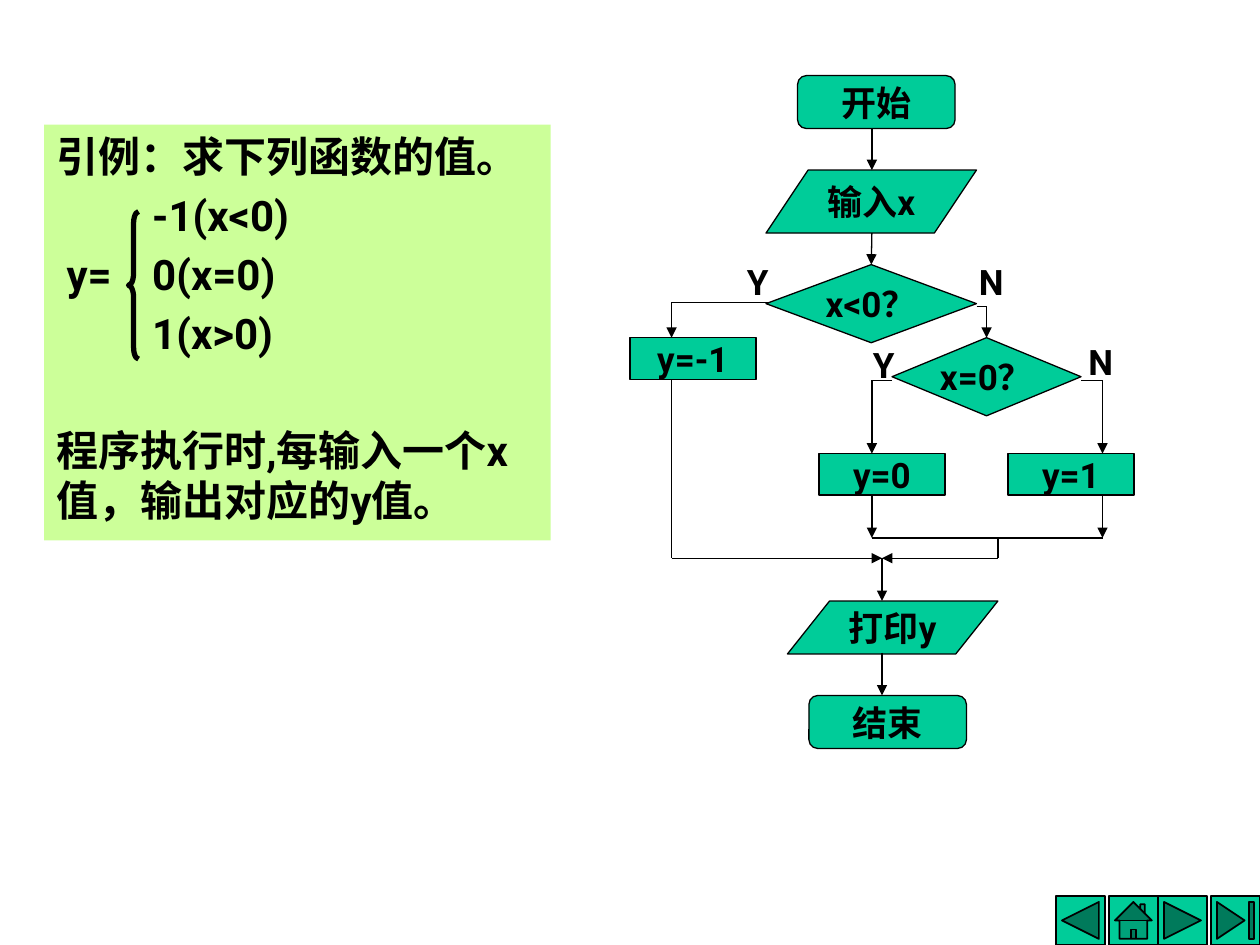
from dataclasses import dataclass

from pptx import Presentation
from pptx import util as u
from pptx.dml.color import RGBColor
from pptx.enum import shapes, text
from pptx.oxml.ns import qn
from lxml import etree

Kind = shapes.MSO_SHAPE


@dataclass(frozen=True)
class Theme:
    font: str = "Roboto"
    ink: RGBColor = RGBColor(0, 0, 0)
    node: RGBColor = RGBColor(0x00, 0xCC, 0x99)
    panel: RGBColor = RGBColor(0xCC, 0xFF, 0x99)
    body_size: int = 24
    node_size: int = 20
    line_width: float = 0.75
    button_line: float = 1
    brace_line: float = 3


class FlowSlide:
    def __init__(self, slide, theme):
        self.slide = slide
        self.theme = theme

    def add_words(self, paragraph, words, size):
        run = paragraph.add_run()
        run.text = words
        run.font.name = self.theme.font
        run.font.size = u.Pt(size)
        run.font.bold = True
        run.font.color.rgb = self.theme.ink

    def shape(self, kind, left, top, width, height, fill=None, line=None):
        shape = self.slide.shapes.add_shape(
            kind, u.Inches(left), u.Inches(top), u.Inches(width), u.Inches(height))
        shape.shadow.inherit = False
        if fill is None:
            shape.fill.background()
        else:
            shape.fill.solid()
            shape.fill.fore_color.rgb = fill
        if line is None:
            shape.line.fill.background()
        else:
            shape.line.color.rgb = self.theme.ink
            shape.line.width = u.Pt(line)
        return shape

    def node(self, kind, words, left, top, width, height):
        shape = self.shape(kind, left, top, width, height,
                           self.theme.node, self.theme.line_width)
        frame = shape.text_frame
        frame.word_wrap = False
        frame.vertical_anchor = text.MSO_ANCHOR.MIDDLE
        paragraph = frame.paragraphs[0]
        paragraph.alignment = text.PP_ALIGN.CENTER
        self.add_words(paragraph, words, self.theme.node_size)
        return shape

    def label(self, words, left, top):
        box = self.slide.shapes.add_textbox(
            u.Inches(left), u.Inches(top), u.Inches(0.5), u.Inches(0.43))
        box.text_frame.word_wrap = True
        self.add_words(box.text_frame.paragraphs[0], words, self.theme.node_size)

    def panel(self, rows, left, top, width, height):
        """Each row is (words, left margin, first-line indent, space before)."""
        shape = self.shape(Kind.RECTANGLE, left, top, width, height, self.theme.panel)
        frame = shape.text_frame
        frame.word_wrap = True
        frame.vertical_anchor = text.MSO_ANCHOR.TOP
        for index, (words, margin, indent, before) in enumerate(rows):
            paragraph = frame.add_paragraph() if index else frame.paragraphs[0]
            paragraph.alignment = text.PP_ALIGN.LEFT
            paragraph.space_before = u.Pt(before)
            properties = paragraph._p.get_or_add_pPr()
            properties.set("marL", str(u.Inches(margin)))
            properties.set("indent", str(u.Inches(indent)))
            self.add_words(paragraph, words, self.theme.body_size)

    def line(self, start, end, arrow=False, target=None):
        """Draw a straight line; target is a shape whose top side it joins."""
        connector = self.slide.shapes.add_connector(
            shapes.MSO_CONNECTOR.STRAIGHT, *(u.Inches(n) for n in (*start, *end)))
        connector.line.color.rgb = self.theme.ink
        connector.line.width = u.Pt(self.theme.line_width)
        if target is not None:
            connector.end_connect(target, 0)
        if arrow:
            etree.SubElement(connector.line._get_or_add_ln(), qn("a:tailEnd"),
                             type="triangle")
        etree.SubElement(connector._element.spPr, qn("a:effectLst"))

    def route(self, *points, target=None):
        """Draw a bent line whose last leg carries the arrowhead."""
        last = len(points) - 2
        for index, (start, end) in enumerate(zip(points, points[1:])):
            self.line(start, end, index == last, target if index == last else None)


def main():
    presentation = Presentation()
    presentation.slide_width = u.Inches(10)
    presentation.slide_height = u.Inches(7.5)
    theme = Theme()
    page = FlowSlide(presentation.slides.add_slide(presentation.slide_layouts[6]), theme)

    buttons = (
        (Kind.ACTION_BUTTON_BACK_OR_PREVIOUS, 8.38),
        (Kind.ACTION_BUTTON_HOME, 8.8),
        (Kind.ACTION_BUTTON_FORWARD_OR_NEXT, 9.19),
        (Kind.ACTION_BUTTON_END, 9.61),
    )
    for kind, left in buttons:
        page.shape(kind, left, 7.11, 0.39, 0.39, theme.node, theme.button_line)

    case_margin = 0.76
    page.panel((
        ("引例：求下列函数的值。", 0, 0, 4.8),
        ("-1(x<0)", case_margin, 0, 4.8),
        ("y=\t0(x=0)", case_margin, 0.08 - case_margin, 4.8),
        ("1(x>0)", case_margin, 0, 4.8),
        ("程序执行时,每输入一个x值，输出对应的y值。", 0, 0, 38),
    ), 0.35, 0.99, 4.02, 3.3)
    brace = page.shape(Kind.LEFT_BRACE, 1.02, 1.68, 0.08, 1.17, line=theme.brace_line)
    brace.adjustments[0] = 1.167

    terminal = Kind.FLOWCHART_ALTERNATE_PROCESS
    data = Kind.FLOWCHART_DATA
    decision = Kind.FLOWCHART_DECISION
    process = Kind.FLOWCHART_PROCESS
    page.node(terminal, "开始", 6.33, 0.6, 1.25, 0.42)
    page.node(data, "输入x", 6.08, 1.35, 1.67, 0.5)
    negative_test = page.node(decision, "x<0？", 6.08, 2.1, 1.67, 0.62)
    zero_test = page.node(decision, "x=0？", 7.08, 2.68, 1.5, 0.62)
    page.node(process, "y=-1", 5, 2.68, 1, 0.33)
    page.node(process, "y=0", 6.5, 3.6, 1, 0.33)
    page.node(process, "y=1", 8, 3.6, 1, 0.33)
    page.node(data, "打印y", 6.25, 4.77, 1.67, 0.42)
    page.node(terminal, "结束", 6.42, 5.52, 1.25, 0.42)

    main_x, left_x, right_x, exit_x = 6.92, 5.33, 8.75, 7
    join_y, merge_y = 4.27, 4.43
    page.route((main_x, 1.02), (main_x, 1.35))
    page.route((main_x, 1.85), (main_x, 2.1), target=negative_test)
    page.route((6.1, 2.4), (left_x, 2.4), (left_x, 2.68))
    page.route((7.75, 2.43), (7.83, 2.43), (7.83, 2.68), target=zero_test)
    page.route((left_x, 3.02), (left_x, merge_y), (exit_x, merge_y))
    for side_x, branch_x in ((7.08, main_x), (8.58, right_x)):
        page.route((side_x, 3.02), (branch_x, 3.02), (branch_x, 3.6))
        page.route((branch_x, 3.93), (branch_x, join_y))
    page.line((main_x, join_y), (right_x, join_y))
    page.route((7.92, join_y), (7.92, merge_y), (exit_x, merge_y))
    page.route((exit_x, merge_y), (exit_x, 4.77))
    page.route((exit_x, 5.18), (exit_x, 5.52))

    for words, left, top in (("Y", 5.83, 2.02), ("N", 7.67, 2.02),
                             ("Y", 6.83, 2.68), ("N", 8.54, 2.65)):
        page.label(words, left, top)

    presentation.save("out.pptx")


if __name__ == "__main__":
    main()
